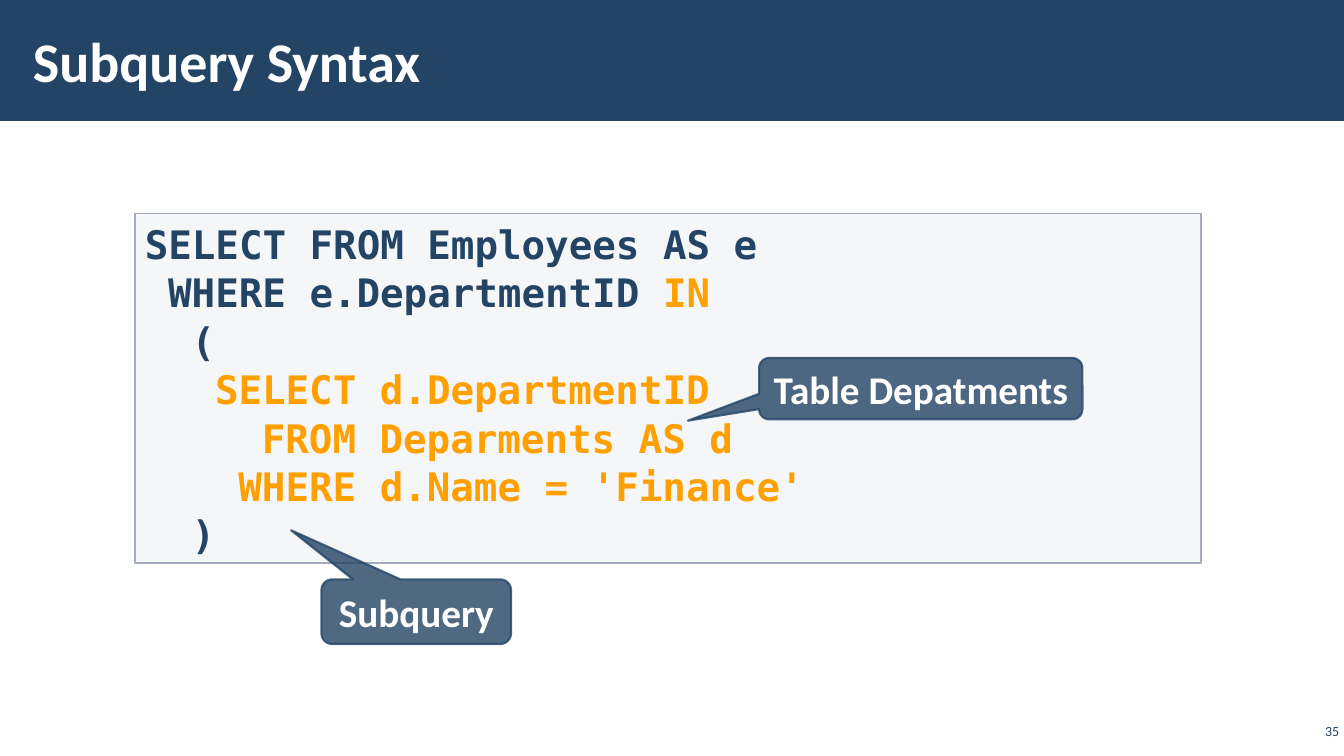
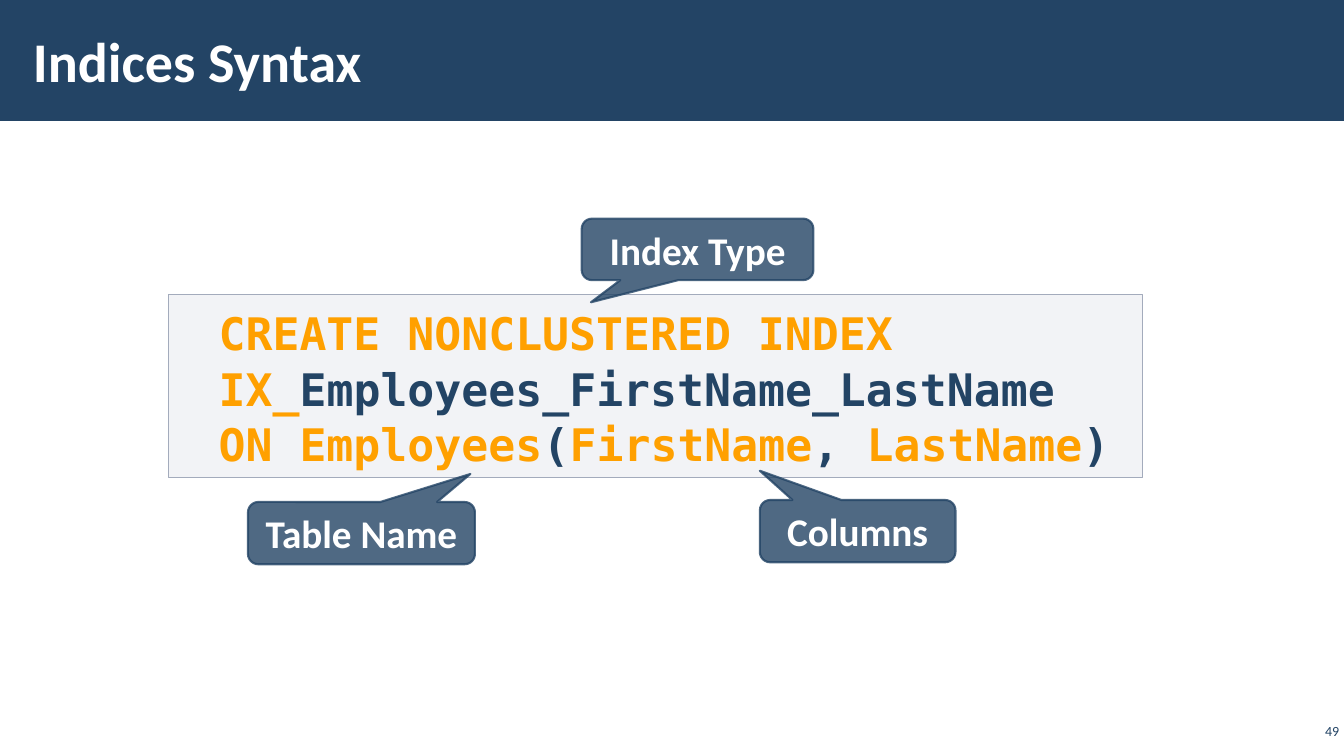
from lxml.etree import SubElement
from pptx import Presentation
from pptx.dml.color import RGBColor
from pptx.enum.shapes import MSO_SHAPE as Form
from pptx.enum.text import MSO_ANCHOR as Anchor, MSO_AUTO_SIZE as Fit, PP_ALIGN as Align
from pptx.oxml.ns import qn
from pptx.util import Cm, Pt

NAVY, GOLD, WHITE = "234465", "FFA000", "FFFFFF"
PALE, EDGE = "C2C7D2", "A3ABBC"
SANS, MONO = "Calibri", "DejaVu Sans Mono"


def tint(code):
    return RGBColor.from_string(code)


def fade(fill, share):
    SubElement(fill[0], qn("a:alpha"), val=str(share * 1000))


class Deck:
    """Holds the shared style and the current slide."""

    def __init__(self):
        self.file = Presentation()
        self.file.slide_width, self.file.slide_height = Cm(33.87), Cm(19.05)

    def font(self, para, size, color, name=SANS, bold=True):
        font = para.font
        font.size, font.name, font.bold = Pt(size), name, bold
        font.color.rgb = tint(color)

    def frame(self, shape, side, edge, anchor=Anchor.MIDDLE, wrap=True):
        frame = shape.text_frame
        frame.margin_left = frame.margin_right = Cm(side)
        frame.margin_top = frame.margin_bottom = Cm(edge)
        frame.vertical_anchor, frame.word_wrap = anchor, wrap
        frame.auto_size = Fit.NONE
        return frame

    def line(self, frame, text, size, color, align, bold=True):
        para = frame.paragraphs[0]
        para.text, para.alignment = text, align
        self.font(para, size, color, bold=bold)

    def shape(self, form, place, fill, share=100):
        shape = self.slide.shapes.add_shape(form, *map(Cm, place))
        shape.shadow.inherit = False
        shape.fill.solid()
        shape.fill.fore_color.rgb = tint(fill)
        if share < 100:
            fade(shape.element.spPr.find(qn("a:solidFill")), share)
        return shape

    def edge(self, shape, color, width, share=100):
        shape.line.color.rgb, shape.line.width = tint(color), Pt(width)
        if share < 100:
            fade(shape.element.spPr.find(qn("a:ln")).find(qn("a:solidFill")), share)

    def page(self, title, number):
        self.slide = self.file.slides.add_slide(self.file.slide_layouts[5])
        shapes = self.slide.shapes
        band = self.shape(Form.RECTANGLE, (0, 0, 33.87, 3.05), NAVY)
        band.line.fill.background()
        shapes.title.element.addprevious(band.element)
        head = shapes.title
        head.left, head.top, head.width, head.height = map(Cm, (0.53, 0.28, 26.42, 2.46))
        self.line(self.frame(head, 0.3, 0.1), title, 40, WHITE, Align.LEFT)
        foot = shapes.add_textbox(*map(Cm, (32.66, 18.14, 1.19, 0.56)))
        self.line(self.frame(foot, 0.1, 0.1), str(number), 10, NAVY, Align.RIGHT, False)

    def code(self, place, rows, size, share, side, edge, step):
        box = self.shape(Form.RECTANGLE, place, PALE, share)
        self.edge(box, EDGE, 1)
        frame = self.frame(box, side, edge, Anchor.TOP)
        for spot, (shift, *parts) in enumerate(rows):
            para = frame.add_paragraph() if spot else frame.paragraphs[0]
            para.alignment, para.line_spacing = Align.LEFT, 1.03
            pad = para._p.get_or_add_pPr()
            pad.set("marL", str(Cm(shift * step)))
            pad.set("indent", "0")
            self.font(para, size, NAVY, MONO)
            for text, color in parts:
                run = para.add_run()
                run.text, run.font.color.rgb = text, tint(color)

    def note(self, text, place, tip):
        shape = self.shape(Form.ROUNDED_RECTANGULAR_CALLOUT, place, NAVY, 80)
        self.edge(shape, NAVY, 1.5, 80)
        shape.adjustments[0], shape.adjustments[1] = tip
        self.line(self.frame(shape, 0.25, 0.13, wrap=False), text, 28, WHITE, Align.CENTER)


def main():
    deck = Deck()
    deck.page("Subquery Syntax", 35)
    deck.code((3.4, 5.38, 26.87, 8.81), [
        (0, ("SELECT FROM Employees AS e", NAVY)),
        (1, ("WHERE e.DepartmentID ", NAVY), ("IN", GOLD)),
        (2, ("(", NAVY)),
        (3, ("SELECT d.DepartmentID", GOLD)),
        (5, ("FROM Deparments AS d", GOLD)),
        (4, ("WHERE d.Name = 'Finance'", GOLD)),
        (2, (")", NAVY)),
    ], size=28, share=15, side=0.25, edge=0.13, step=0.59)
    deck.note("Table Depatments", (19.13, 9.02, 8.15, 1.55), (-0.72, 0.52))
    deck.note("Subquery", (8.1, 14.6, 4.78, 1.63), (-0.66, -1.26))

    deck.page("Indices Syntax", 49)
    deck.code((4.24, 7.42, 24.56, 4.62), [
        (1, ("CREATE NONCLUSTERED INDEX IX_", GOLD), ("Employees_FirstName_LastName", NAVY)),
        (1, ("ON Employees", GOLD), ("(", NAVY), ("FirstName", GOLD), (", ", NAVY),
         ("LastName", GOLD), (")", NAVY)),
    ], size=32, share=20, side=0, edge=0.25, step=1.27)
    deck.note("Table Name", (6.25, 12.65, 5.72, 1.57), (0.48, -0.95))
    deck.note("Columns", (19.15, 12.6, 4.93, 1.57), (-0.5, -0.97))
    deck.note("Index Type", (14.66, 5.51, 5.84, 1.55), (-0.46, 0.86))
    deck.file.save("out.pptx")


if __name__ == "__main__":
    main()
